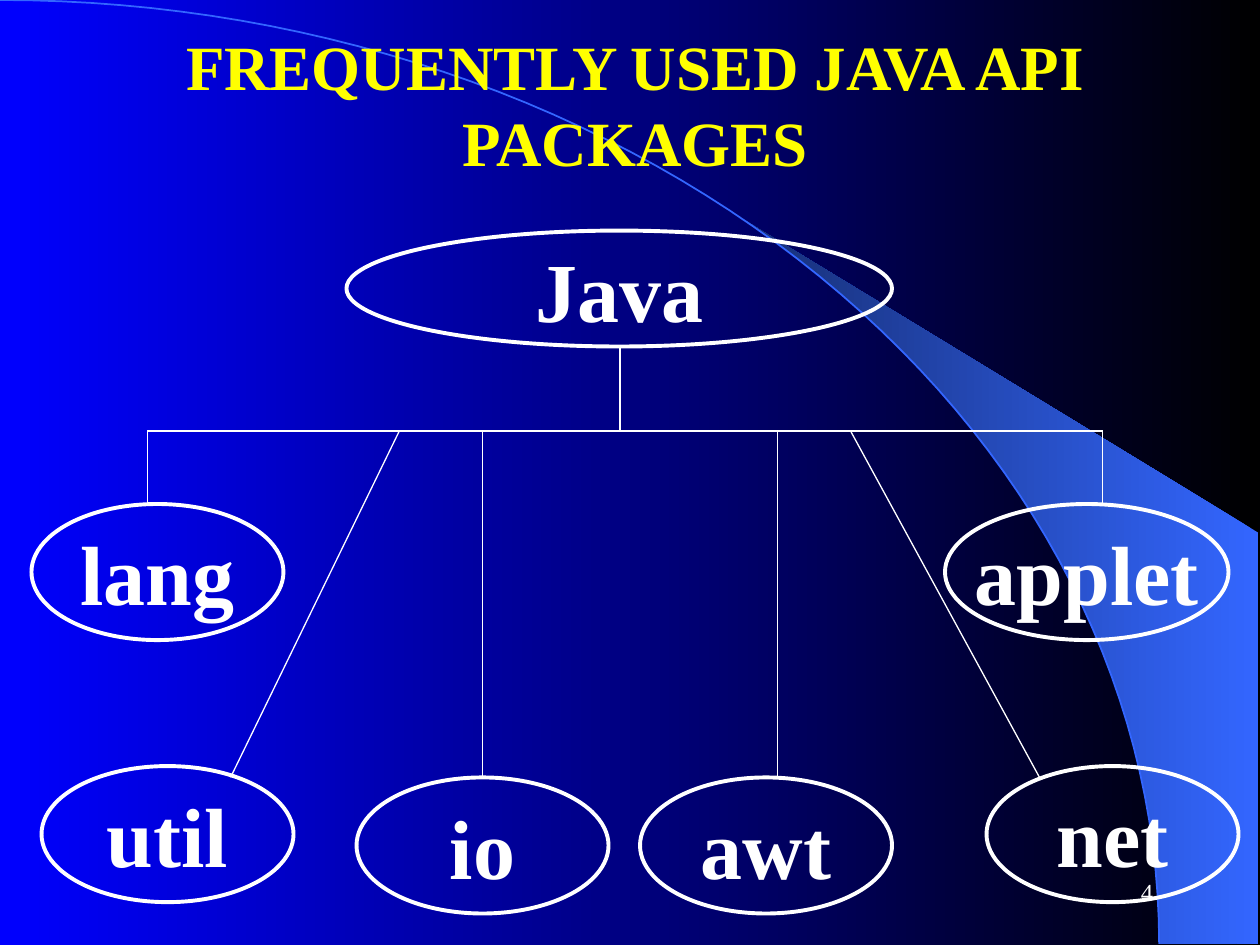
from dataclasses import dataclass
from math import asin, cos, pi, sin

from lxml import etree
from pptx import Presentation
from pptx.dml.color import RGBColor
from pptx.enum.shapes import MSO_CONNECTOR, MSO_SHAPE
from pptx.enum.text import MSO_ANCHOR, MSO_AUTO_SIZE, PP_ALIGN
from pptx.oxml.ns import qn
from pptx.util import Inches, Pt

STRAIGHT = MSO_CONNECTOR.STRAIGHT
OVAL = MSO_SHAPE.OVAL
TOP, MIDDLE = MSO_ANCHOR.TOP, MSO_ANCHOR.MIDDLE
GROW = MSO_AUTO_SIZE.SHAPE_TO_FIT_TEXT
CENTER, RIGHT = PP_ALIGN.CENTER, PP_ALIGN.RIGHT

FONT = "Times New Roman"
COLORS = {
    "night": "000000",
    "blue": "0000FF",
    "arc": "3366FF",
    "deep": "172F75",
    "white": "FFFFFF",
    "title": "FFFF00",
}
ARC_WIDTH, ARC_HEIGHT = 9.2, 7.49
BEAM_START, BEAM_RIGHT, BEAM_TOP = 5.89, 9.99, 4.23
ARC_STEPS = 60
BAR_Y = 3.42


@dataclass(frozen=True)
class Package:
    name: str
    left: float
    top: float
    width: float = 2
    height: float = 1.08


@dataclass(frozen=True)
class Branch:
    start: tuple[float, float]
    end: tuple[float, float]


PACKAGES = [
    Package("Java", 2.75, 1.83, 4.33, 0.92),
    Package("lang", 0.25, 4),
    Package("util", 0.33, 6.08),
    Package("io", 2.83, 6.17),
    Package("awt", 5.08, 6.17),
    Package("net", 7.83, 6.08),
    Package("applet", 7.5, 4, 2.25),
]
DROPS = [
    (1.17, 1.17, 4),
    (8.75, 8.75, 4),
    (3.17, 1.83, 6.17),
    (3.83, 3.83, 6.17),
    (6.17, 6.17, 6.17),
    (6.75, 8.25, 6.17),
]
BRANCHES = [
    Branch((8.75, BAR_Y), (1.17, BAR_Y)),
    Branch((4.92, 2.75), (4.92, BAR_Y)),
    *(Branch((top_x, BAR_Y), (end_x, end_y)) for top_x, end_x, end_y in DROPS),
]


def rgb(name: str) -> RGBColor:
    """Return the named palette colour."""
    return RGBColor.from_string(COLORS[name])


def apply_format(target, values: dict) -> None:
    """Set each attribute in values on target."""
    for attribute, value in values.items():
        setattr(target, attribute, value)


def fill_gradient(fill, start: str, end: str) -> None:
    """Fill with a gradient that runs from right to left."""
    fill.gradient()
    fill.gradient_angle = 180
    for stop, name in zip(fill.gradient_stops, (start, end)):
        stop.color.rgb = rgb(name)


def set_line(line, color: str, width: float) -> None:
    """Give a line its solid colour and width in points."""
    line.color.rgb = rgb(color)
    line.width = Pt(width)


def write_text(shape, text: str, color: str, frame_format: dict,
               paragraph_format: dict, font_format: dict) -> None:
    """Write one formatted paragraph into a shape."""
    frame = shape.text_frame
    apply_format(frame, frame_format)
    paragraph = frame.paragraphs[0]
    apply_format(paragraph, paragraph_format)
    run = paragraph.add_run()
    run.text = text
    apply_format(run.font, {"name": FONT, **font_format})
    run.font.color.rgb = rgb(color)


def arc_points(start_angle: float) -> list[tuple[int, int]]:
    """Return points along the big arc down to the slide's bottom edge."""
    step = (pi / 2 - start_angle) / ARC_STEPS
    angles = [start_angle + step * index for index in range(ARC_STEPS + 1)]
    return [(Inches(ARC_WIDTH * sin(angle)), Inches(ARC_HEIGHT * (1 - cos(angle))))
            for angle in angles]


def draw_outline(slide, points: list[tuple[int, int]], close: bool):
    """Draw a freeform through the points."""
    builder = slide.shapes.build_freeform(*points[0])
    builder.add_line_segments(points[1:], close=close)
    outline = builder.convert_to_shape()
    outline.shadow.inherit = False
    return outline


def draw_backdrop(slide) -> None:
    """Draw the background gradient, the light beam and the arc."""
    fill_gradient(slide.background.fill, "night", "blue")
    corner = [(Inches(BEAM_RIGHT), Inches(y)) for y in (ARC_HEIGHT, BEAM_TOP)]
    beam = draw_outline(slide, arc_points(asin(BEAM_START / ARC_WIDTH)) + corner, True)
    fill_gradient(beam.fill, "arc", "deep")
    beam.line.fill.background()
    arc = draw_outline(slide, arc_points(0), False)
    arc.fill.background()
    set_line(arc.line, "arc", 1)


def draw_package(slide, package: Package) -> None:
    """Draw a package name in an ellipse."""
    box = map(Inches, (package.left, package.top, package.width, package.height))
    ellipse = slide.shapes.add_shape(OVAL, *box)
    ellipse.shadow.inherit = False
    ellipse.fill.background()
    set_line(ellipse.line, "white", 2.25)
    write_text(ellipse, package.name, "white",
               {"word_wrap": False, "vertical_anchor": MIDDLE},
               {"alignment": CENTER}, {"size": Pt(48), "bold": True})


def draw_branch(slide, branch: Branch) -> None:
    """Draw one thin line of the tree."""
    ends = map(Inches, (*branch.start, *branch.end))
    connector = slide.shapes.add_connector(STRAIGHT, *ends)
    set_line(connector.line, "white", 0.75)
    etree.SubElement(connector._element.spPr, qn("a:effectLst"))


def main() -> None:
    """Build the slide and save it."""
    deck = Presentation()
    deck.slide_width, deck.slide_height = Inches(10), Inches(7.5)
    slide = deck.slides.add_slide(deck.slide_layouts[6])
    draw_backdrop(slide)
    for package in PACKAGES:
        draw_package(slide, package)
    for branch in BRANCHES:
        draw_branch(slide, branch)
    title = slide.shapes.add_textbox(*map(Inches, (1, 0.17, 8.08, 1.3)))
    write_text(title, "FREQUENTLY USED JAVA API PACKAGES", "title",
               {"word_wrap": True, "auto_size": GROW, "vertical_anchor": TOP},
               {"alignment": CENTER, "space_before": Pt(22.5)},
               {"size": Pt(36), "bold": True})
    page_number = slide.shapes.add_textbox(*map(Inches, (7.17, 6.83, 2.08, 0.5)))
    write_text(page_number, "4", "white",
               {"word_wrap": True, "vertical_anchor": MIDDLE},
               {"alignment": RIGHT}, {"size": Pt(14)})
    deck.save("out.pptx")


if __name__ == "__main__":
    main()
